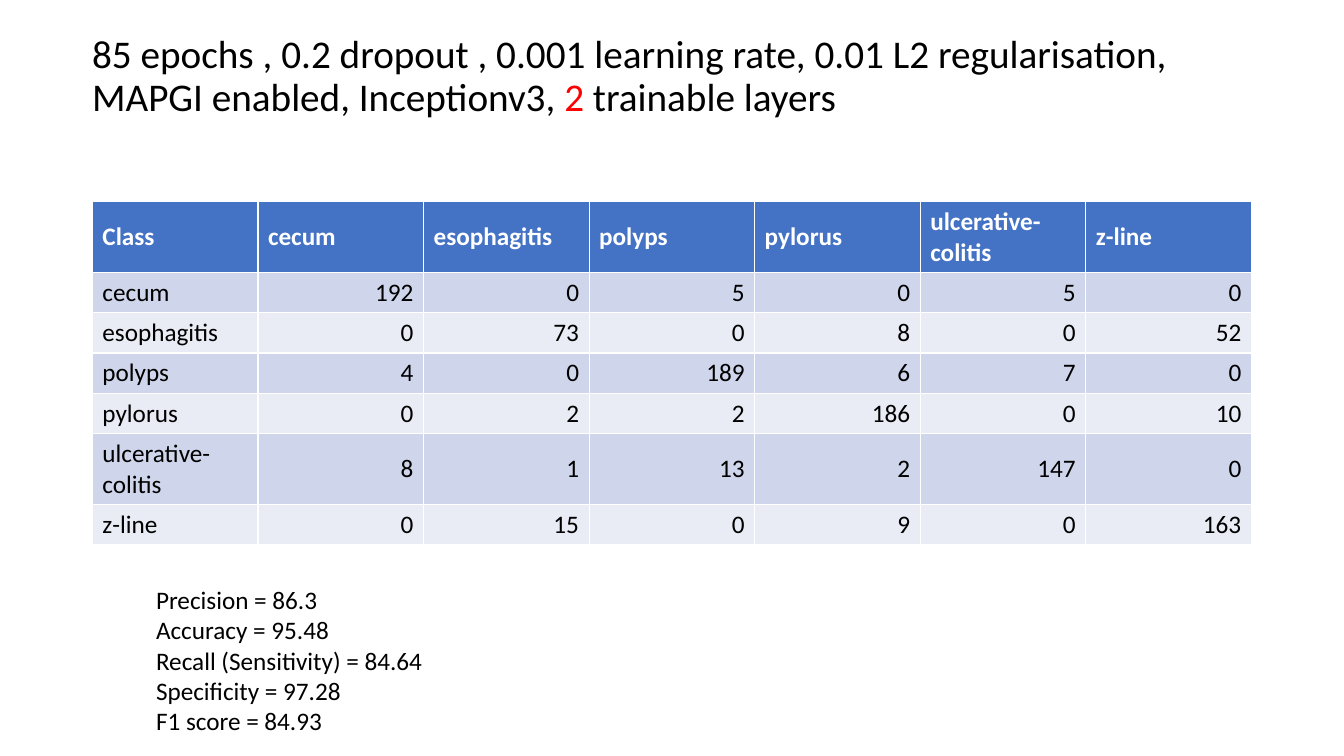
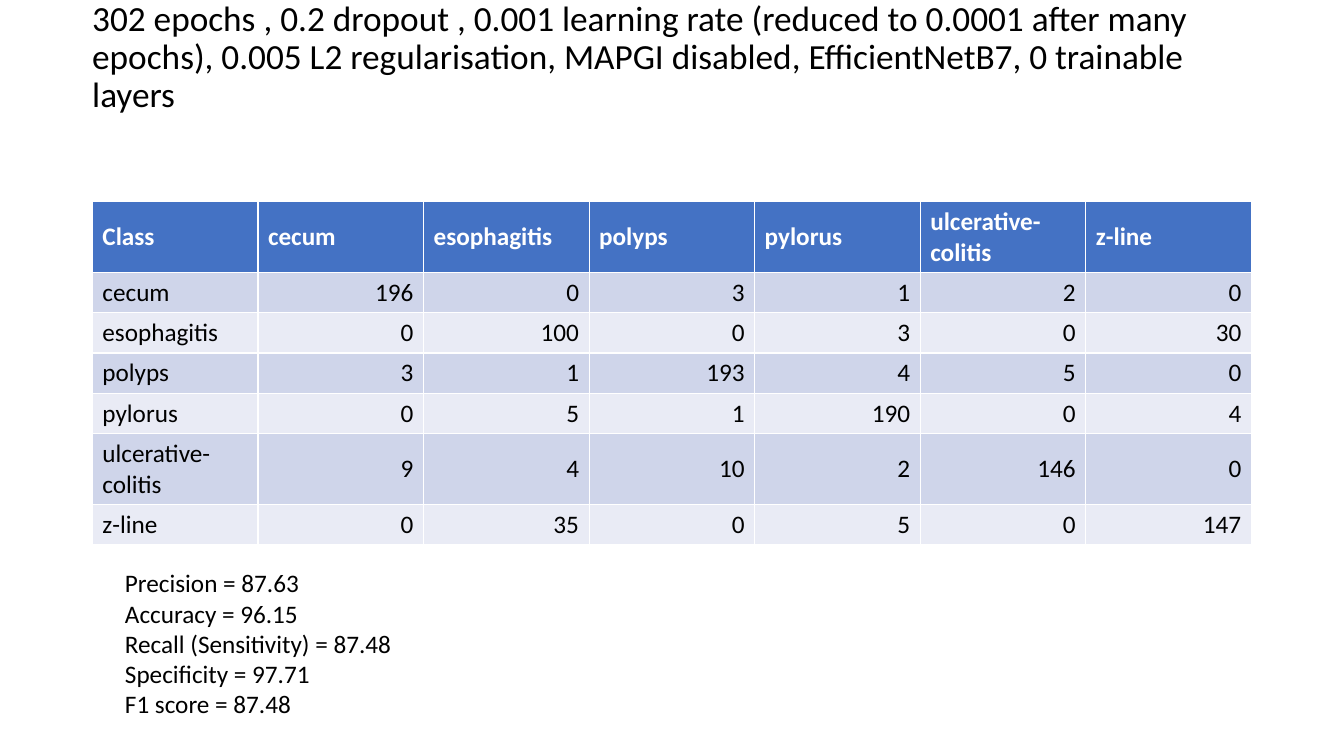
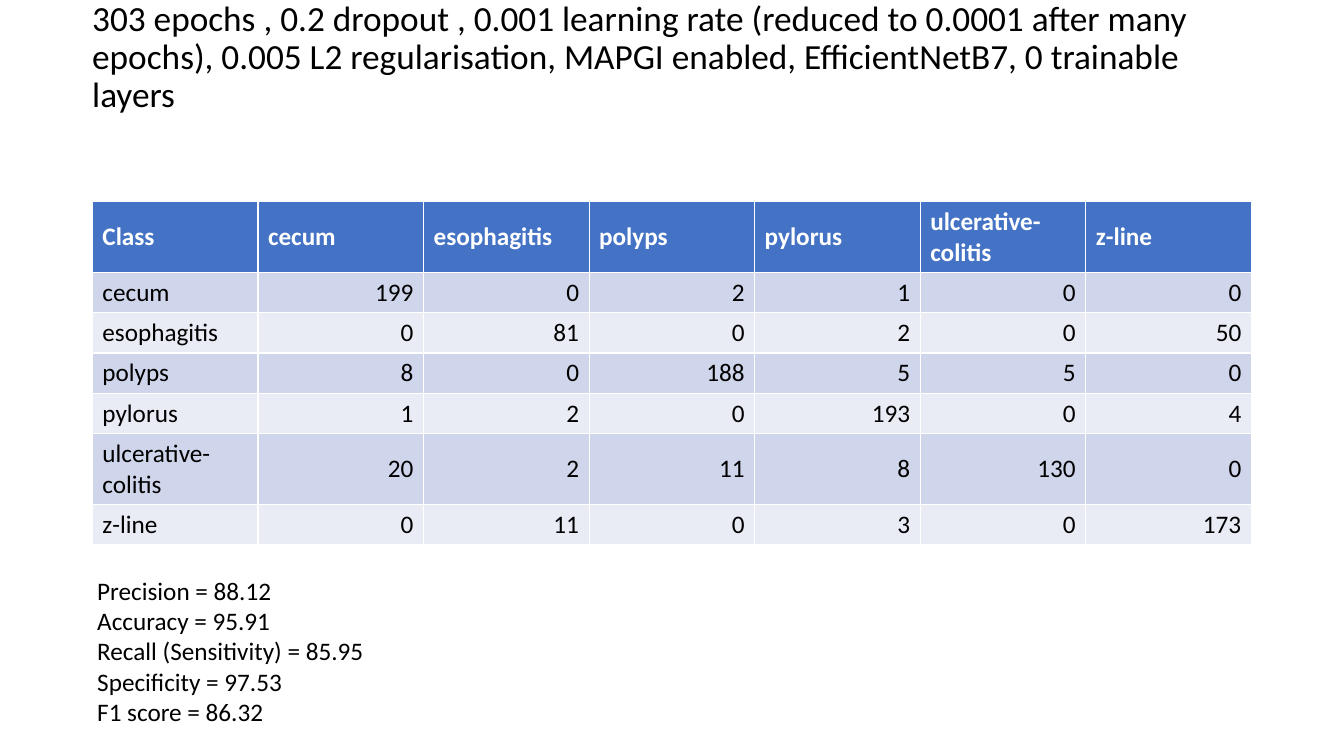
from pptx import Presentation
from pptx import util as u
from pptx.dml import color as c
from pptx.enum import text as t

COLORS = {"text": "000000", "accent": "FF0000", "header": "4472C4",
          "header_text": "FFFFFF", "odd": "CFD5EA", "even": "E9EBF5"}
FONT = "Calibri"
CLASSES = ["cecum", "esophagitis", "polyps", "pylorus", "ulcerative-colitis", "z-line"]
METRICS = ["Precision", "Accuracy", "Recall (Sensitivity)", "Specificity", "F1 score"]

# The slide is a grid of 160 columns by 90 rows of square units.
presentation = Presentation()
presentation.slide_width = u.Inches(13.333)
presentation.slide_height = u.Inches(7.5)
UNIT = presentation.slide_height / 90


def grid(*units):
    """Turn grid units into slide lengths."""
    return [u.Emu(round(n * UNIT)) for n in units]


def write(frame, paragraphs, size=18, color="text", bold=False,
          align=t.PP_ALIGN.LEFT, spacing=1.0, anchor=t.MSO_ANCHOR.TOP):
    """Fill a frame; a paragraph is a string or a list of (text, colour) runs."""
    frame.word_wrap = True
    frame.vertical_anchor = anchor
    for index, content in enumerate(paragraphs):
        paragraph = frame.paragraphs[0] if index == 0 else frame.add_paragraph()
        paragraph.alignment = align
        paragraph.line_spacing = spacing
        runs = [(content, color)] if isinstance(content, str) else content
        for words, run_color in runs:
            run = paragraph.add_run()
            run.text = words
            run.font.name = FONT
            run.font.size = u.Pt(size)
            run.font.bold = bold
            run.font.color.rgb = c.RGBColor.from_string(COLORS[run_color])


LONG_TITLE = ("{} epochs , 0.2 dropout , 0.001 learning rate (reduced to 0.0001 after many "
              "epochs), 0.005 L2 regularisation, MAPGI {}, EfficientNetB7, 0 trainable layers")

experiments = [
    {
        "title": [("85 epochs , 0.2 dropout , 0.001 learning rate, 0.01 L2 regularisation, "
                   "MAPGI enabled, Inceptionv3, ", "text"),
                  ("2 ", "accent"), ("trainable layers", "text")],
        "title_size": 28,
        "title_bottom": 0.05,
        "confusion": [[192, 0, 5, 0, 5, 0],
                      [0, 73, 0, 8, 0, 52],
                      [4, 0, 189, 6, 7, 0],
                      [0, 2, 2, 186, 0, 10],
                      [8, 1, 13, 2, 147, 0],
                      [0, 15, 0, 9, 0, 163]],
        "scores": [86.3, 95.48, 84.64, 97.28, 84.93],
        "scores_at": (17.4, 69),
    },
    {
        "title": LONG_TITLE.format(302, "disabled"),
        "title_size": 25.2,
        "title_bottom": 0.43,
        "confusion": [[196, 0, 3, 1, 2, 0],
                      [0, 100, 0, 3, 0, 30],
                      [3, 1, 193, 4, 5, 0],
                      [0, 5, 1, 190, 0, 4],
                      [9, 4, 10, 2, 146, 0],
                      [0, 35, 0, 5, 0, 147]],
        "scores": [87.63, 96.15, 87.48, 97.71, 87.48],
        "scores_at": (13.7, 67),
    },
    {
        "title": LONG_TITLE.format(303, "enabled"),
        "title_size": 25.2,
        "title_bottom": 0.43,
        "confusion": [[199, 0, 2, 1, 0, 0],
                      [0, 81, 0, 2, 0, 50],
                      [8, 0, 188, 5, 5, 0],
                      [1, 2, 0, 193, 0, 4],
                      [20, 2, 11, 8, 130, 0],
                      [0, 11, 0, 3, 0, 173]],
        "scores": [88.12, 95.91, 85.95, 97.53, 86.32],
        "scores_at": (10.4, 67.9),
    },
]

for experiment in experiments:
    slide = presentation.slides.add_slide(presentation.slide_layouts[6])

    title = slide.shapes.add_textbox(*grid(9.8, 2.9, 138, 12.6)).text_frame
    title.margin_bottom = u.Inches(experiment["title_bottom"])
    write(title, [experiment["title"]], size=experiment["title_size"],
          spacing=0.9, anchor=t.MSO_ANCHOR.MIDDLE)

    rows = [["Class"] + CLASSES]
    rows += [[name] + counts for name, counts in zip(CLASSES, experiment["confusion"])]
    table = slide.shapes.add_table(len(rows), len(rows[0]), *grid(11, 24, 138, 40.8)).table
    for row_index, values in enumerate(rows):
        is_header = row_index == 0
        two_lines = is_header or values[0] == "ulcerative-colitis"
        table.rows[row_index].height = grid(8.4 if two_lines else 4.8)[0]
        fill = "header" if is_header else ("even", "odd")[row_index % 2]
        for column_index, value in enumerate(values):
            cell = table.cell(row_index, column_index)
            cell.fill.solid()
            cell.fill.fore_color.rgb = c.RGBColor.from_string(COLORS[fill])
            cell.vertical_anchor = t.MSO_ANCHOR.MIDDLE
            is_count = isinstance(value, int)
            write(cell.text_frame, [str(value)], bold=is_header,
                  color="header_text" if is_header else "text",
                  align=t.PP_ALIGN.RIGHT if is_count else t.PP_ALIGN.LEFT,
                  anchor=t.MSO_ANCHOR.MIDDLE)

    scores = slide.shapes.add_textbox(*grid(*experiment["scores_at"], 36, 23)).text_frame
    write(scores, [f"{name} = {score}" for name, score in zip(METRICS, experiment["scores"])])

presentation.save("out.pptx")
